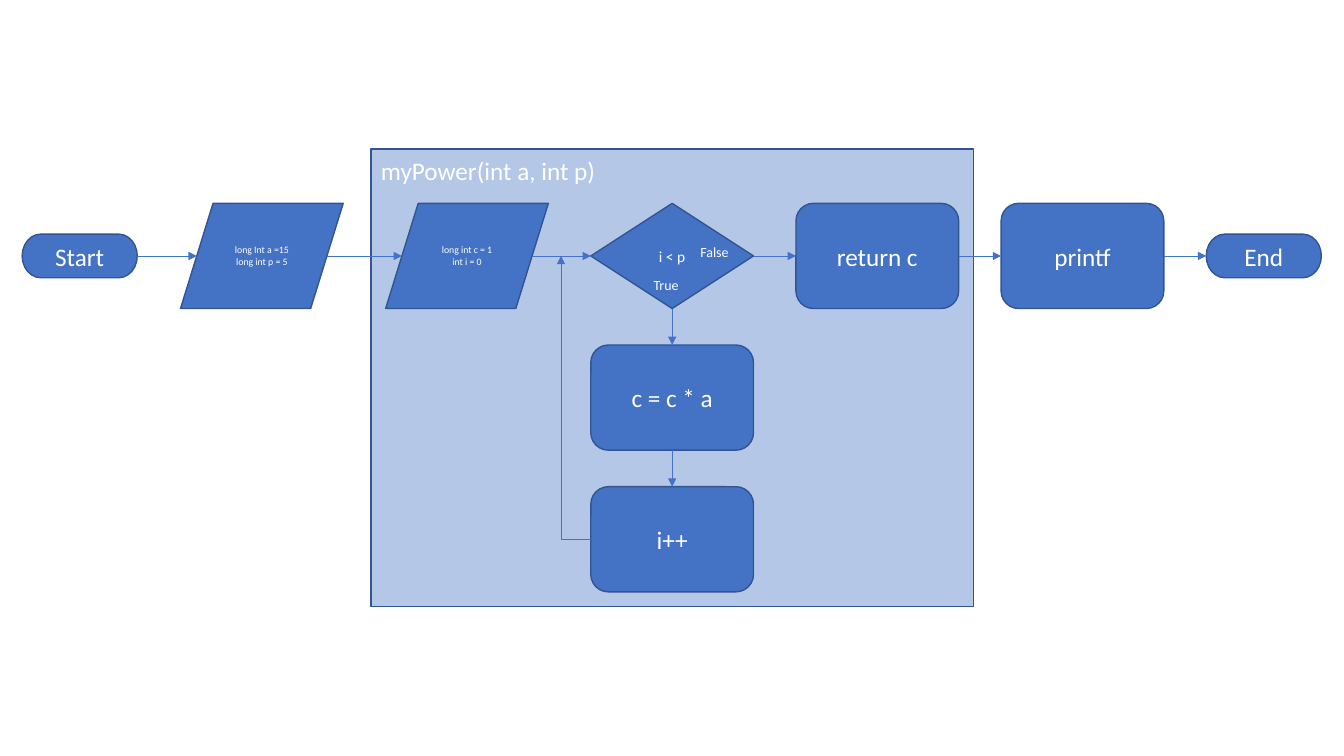
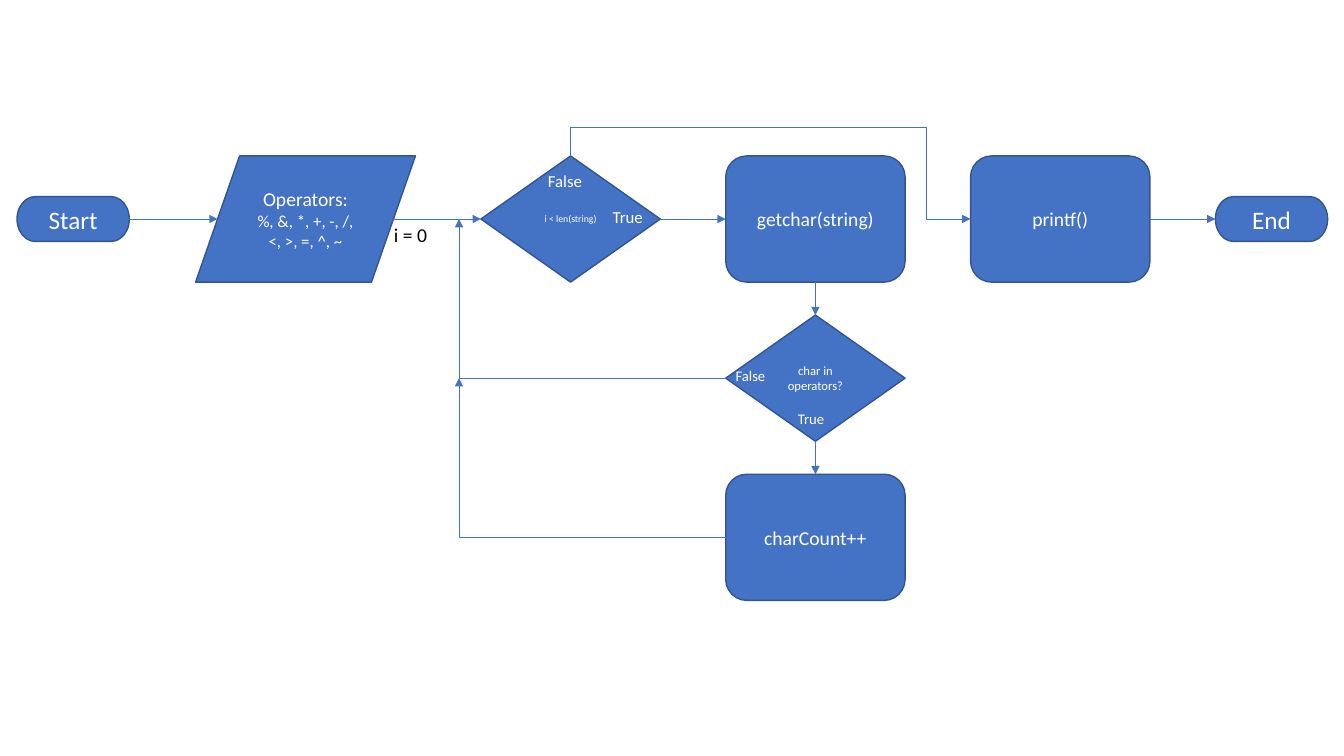
from lxml.etree import SubElement as Sub
from pptx import Presentation
from pptx.dml.color import RGBColor as RGB
from pptx.enum.shapes import MSO_CONNECTOR as Link, MSO_SHAPE as Geo
from pptx.enum.text import MSO_ANCHOR, MSO_AUTO_SIZE as Fit, PP_ALIGN
from pptx.oxml.ns import qn
from pptx.util import Cm, Pt

FONT = "Calibri"
HUES = {"box": "4472C4", "edge": "325491", "panel": "B4C7E7",
        "light": "FFFFFF", "dark": "000000"}
KINDS = {"term": Geo.FLOWCHART_TERMINATOR, "data": Geo.FLOWCHART_DATA,
         "test": Geo.FLOWCHART_DECISION,
         "step": Geo.FLOWCHART_ALTERNATE_PROCESS}

# Lengths are in cm. cols: left edges; mid: centre of row 0; drop: row pitch.
# nodes: name: (kind, column, row, [(text, size), ...])
# links: (from, side, to, side); loops: (from, end x, end row)
# labels: (text, size, colour, left, top, width, height)
POWER = {
    "cols": [0.56] + [4.55 + 5.17 * i for i in range(6)],
    "mid": 6.45, "drop": 3.57,
    "sizes": {"term": (2.9, 1.1), "data": (4.1, 2.65),
              "test": (4.1, 2.65), "step": (4.1, 2.65)},
    "panel": (9.35, 3.76, 15.19, 11.53),
    "nodes": {
        "start": ("term", 0, 0, [("Start", 18)]),
        "input": ("data", 1, 0, [("long Int a =15", 7),
                                 ("long int p = 5", 7)]),
        "init": ("data", 2, 0, [("long int c = 1", 7), ("int i = 0", 7)]),
        "check": ("test", 3, 0, [("i < p", 11)]),
        "times": ("step", 3, 1, [("c = c * a", 18)]),
        "next": ("step", 3, 2, [("i++", 18)]),
        "return": ("step", 4, 0, [("return c", 18)]),
        "print": ("step", 5, 0, [("printf", 18)]),
        "end": ("term", 6, 0, [("End", 18)]),
    },
    "links": [("start", "right", "input", "left"),
              ("input", "right", "init", "left"),
              ("init", "right", "check", "left"),
              ("check", "right", "return", "left"),
              ("return", "right", "print", "left"),
              ("print", "right", "end", "left"),
              ("check", "bottom", "times", "top"),
              ("times", "bottom", "next", "top")],
    "loops": [("next", 14.14, 0)],
    "labels": [("True", 10, "light", 16.22, 6.85, 1.43, 0.83),
               ("False", 10, "light", 17.4, 6.02, 1.5, 0.83),
               ("myPower(int a, int p)", 18, "light",
                9.35, 3.78, 7.21, 1.25)],
}
COUNT = {
    "cols": [0.43, 4.93] + [12.12 + 6.17 * i for i in range(4)],
    "mid": 5.52, "drop": 4.01,
    "sizes": {"term": (2.83, 1.13), "data": (5.54, 3.18),
              "test": (4.52, 3.18), "step": (4.52, 3.18)},
    "nodes": {
        "start": ("term", 0, 0, [("Start", 18)]),
        "signs": ("data", 1, 0, [("Operators:", 14),
                                 ("%, &, *, +, -, /, <, >, =, ^, ~", 12)]),
        "check": ("test", 2, 0, [("i < len(string)", 7)]),
        "get": ("step", 3, 0, [("getchar(string)", 14)]),
        "match": ("test", 3, 1, [("char in operators?", 9)]),
        "count": ("step", 3, 2, [("charCount++", 14)]),
        "print": ("step", 4, 0, [("printf()", 14)]),
        "end": ("term", 5, 0, [("End", 18)]),
    },
    "links": [("start", "right", "signs", "left"),
              ("signs", "right", "check", "left"),
              ("check", "right", "get", "left"),
              ("print", "right", "end", "left"),
              ("get", "bottom", "match", "top"),
              ("match", "bottom", "count", "top")],
    "loops": [("match", 11.57, 0), ("count", 11.57, 1)],
    "exit": ("check", "print", 23.35, 3.21),  # from, to, turn x, turn y
    "labels": [("True", 12, "light", 15.19, 5.08, 1.47, 0.89),
               ("False", 12, "light", 13.56, 4.19, 1.57, 0.89),
               ("i = 0", 14, "dark", 9.68, 5.49, 1.55, 0.99),
               ("False", 10.5, "light", 18.29, 9.12, 1.5, 0.83),
               ("True", 10.5, "light", 19.86, 10.21, 1.37, 0.81)],
}


def hue(name):
    """Return the named colour."""
    return RGB.from_string(HUES[name])


def write(frame, lines, tint, align):
    """Put (text, size) lines into a text frame, one paragraph each."""
    for i, (text, size) in enumerate(lines):
        para = frame.add_paragraph() if i else frame.paragraphs[0]
        para.text, para.alignment = text, align
        font = para.font
        font.name, font.size, font.color.rgb = FONT, Pt(size), hue(tint)


def block(slide, geo, area, fill):
    """Add an outlined shape without a shadow."""
    shape = slide.shapes.add_shape(geo, *map(Cm, area))
    shape.shadow.inherit = False
    shape.fill.solid()
    shape.fill.fore_color.rgb = hue(fill)
    shape.line.color.rgb, shape.line.width = hue("edge"), Pt(1)
    return shape


def label(slide, text, size, tint, *area):
    """Add a one-line text box."""
    frame = slide.shapes.add_textbox(*map(Cm, area)).text_frame
    frame.word_wrap, frame.auto_size = False, Fit.SHAPE_TO_FIT_TEXT
    write(frame, [(text, size)], tint, PP_ALIGN.LEFT)


def arrow(slide, start, stop, bends=(), tip="a:tailEnd"):
    """Join two points; bends are the turns as shares of width and height."""
    kind = Link.ELBOW if bends else Link.STRAIGHT
    line = slide.shapes.add_connector(kind, *map(Cm, start + stop))
    line.line.color.rgb, line.line.width = hue("box"), Pt(0.5)
    props = line._element.spPr
    Sub(props.find(qn("a:ln")), qn(tip), type="triangle")
    Sub(props, qn("a:effectLst"))
    if bends:
        geom = props.find(qn("a:prstGeom"))
        geom.set("prst", f"bentConnector{len(bends) + 2}")
        for i, bend in enumerate(bends, 1):
            Sub(geom.find(qn("a:avLst")), qn("a:gd"), name=f"adj{i}",
                fmla=f"val {round(bend * 100000)}")


def place(flow, name):
    """Return left, top, width and height of a node."""
    kind, col, row, _ = flow["nodes"][name]
    wide, high = flow["sizes"][kind]
    mid = flow["mid"] + row * flow["drop"]
    return flow["cols"][col], mid - high / 2, wide, high


def port(flow, name, side):
    """Return the point where an arrow meets a side of a node."""
    left, top, wide, high = place(flow, name)
    slant = wide / 10 if flow["nodes"][name][0] == "data" else 0
    return {"left": (left + slant, top + high / 2),
            "right": (left + wide - slant, top + high / 2),
            "top": (left + wide / 2, top),
            "bottom": (left + wide / 2, top + high)}[side]


def draw(slide, flow):
    """Draw a whole flowchart."""
    if "panel" in flow:
        block(slide, Geo.FLOWCHART_PROCESS, flow["panel"], "panel")
    for name, (kind, _, _, lines) in flow["nodes"].items():
        frame = block(slide, KINDS[kind], place(flow, name), "box").text_frame
        frame.word_wrap = True
        frame.vertical_anchor = MSO_ANCHOR.MIDDLE
        write(frame, lines, "light", PP_ALIGN.CENTER)
    for a, out, b, into in flow["links"]:
        arrow(slide, port(flow, a, out), port(flow, b, into))
    for name, x, row in flow["loops"]:
        stop = (x, flow["mid"] + row * flow["drop"])
        arrow(slide, port(flow, name, "left"), stop, [1])
    if "exit" in flow:
        a, b, x, y = flow["exit"]
        (ax, ay), (bx, by) = port(flow, a, "top"), port(flow, b, "left")
        turns = [(bx - x) / (bx - ax), (by - y) / (by - ay)]
        arrow(slide, (bx, by), (ax, ay), turns, "a:headEnd")
    for item in flow["labels"]:
        label(slide, *item)


deck = Presentation()
deck.slide_width, deck.slide_height = Cm(33.87), Cm(19.05)
for chart in (POWER, COUNT):
    draw(deck.slides.add_slide(deck.slide_layouts[6]), chart)
deck.save("out.pptx")
